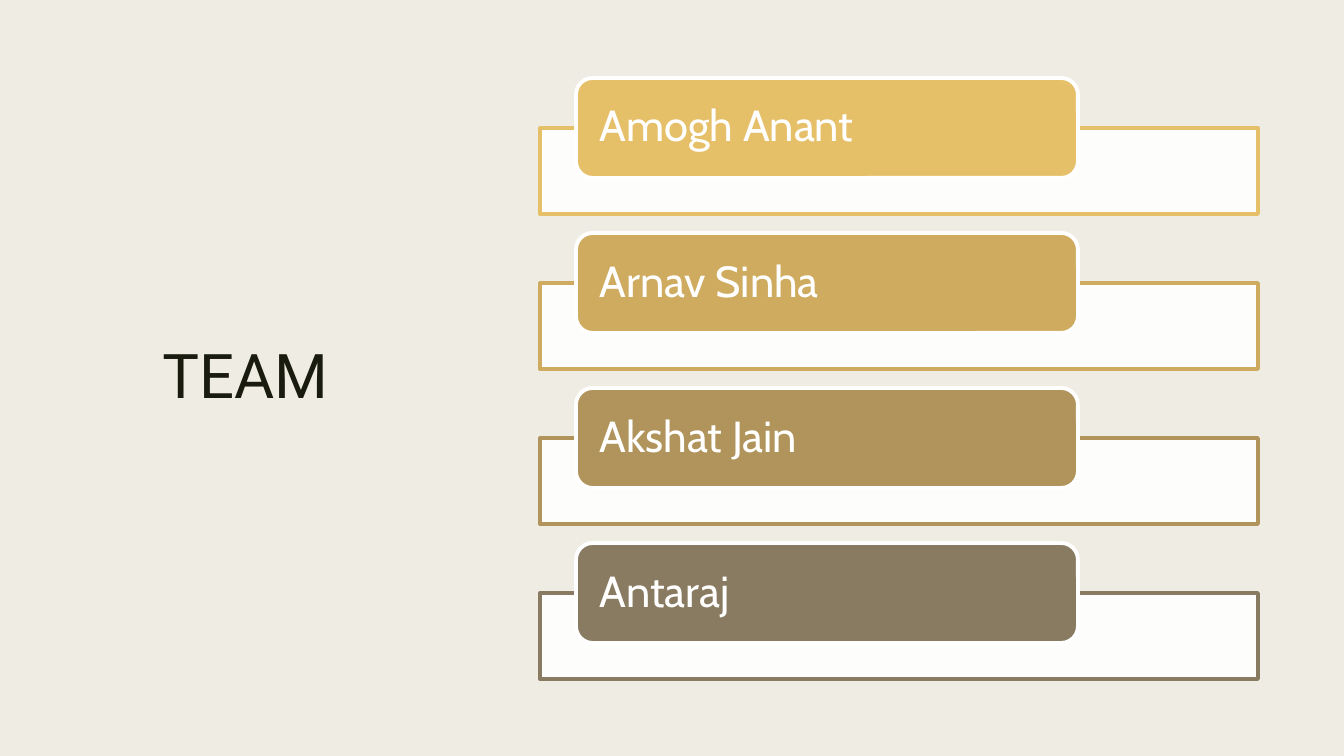
from dataclasses import dataclass

from lxml.etree import SubElement
from pptx import Presentation
from pptx.dml.color import RGBColor
from pptx.enum.shapes import MSO_SHAPE
from pptx.enum.text import MSO_ANCHOR, PP_ALIGN
from pptx.oxml.ns import qn
from pptx.shapes.autoshape import Shape
from pptx.slide import Slide
from pptx.util import Emu, Pt

COLORS = {
    "background": "EFEDE3",
    "title": "191B0E",
    "white": "FFFFFF",
    "gold": "E6C069",
    "ochre": "CEAB5F",
    "bronze": "B0945B",
    "taupe": "897B61",
}
EMU_PER_PX = 914400 / 100.8
SLIDE_W, SLIDE_H = 1344, 756
FIRST_PILL_TOP, MEMBER_PITCH = 78, 155
PANEL_DROP = 50
OUTLINE_PT = 2.75


@dataclass(frozen=True)
class Member:
    name: str
    color: str


TEAM = [
    Member("Amogh Anant", "gold"),
    Member("Arnav Sinha", "ochre"),
    Member("Akshat Jain", "bronze"),
    Member("Antaraj", "taupe"),
]


def px(n: int) -> Emu:
    return Emu(round(n * EMU_PER_PX))


def rgb(name: str) -> RGBColor:
    return RGBColor.from_string(COLORS[name])


def write_text(sp: Shape, text: str, *, font: str, size: float, color: str,
               align: PP_ALIGN, line_spacing: float, inset: int = 10) -> None:
    tf = sp.text_frame
    tf.word_wrap = True
    tf.vertical_anchor = MSO_ANCHOR.MIDDLE
    tf.margin_left = tf.margin_right = px(inset)
    tf.margin_top = tf.margin_bottom = 0
    p = tf.paragraphs[0]
    p.alignment = align
    p.line_spacing = line_spacing
    r = p.add_run()
    r.text = text
    r.font.name = font
    r.font.size = Pt(size)
    r.font.color.rgb = rgb(color)


def add_box(s: Slide, kind: MSO_SHAPE, x: int, y: int, w: int, h: int, *,
            fill: str, line: str, opacity: int = 100) -> Shape:
    sp = s.shapes.add_shape(kind, px(x), px(y), px(w), px(h))
    sp.shadow.inherit = False
    sp.fill.solid()
    sp.fill.fore_color.rgb = rgb(fill)
    if opacity < 100:
        color = sp.fill._xPr.find(qn("a:solidFill"))[0]
        SubElement(color, qn("a:alpha"), val=str(opacity * 1000))
    sp.line.color.rgb = rgb(line)
    sp.line.width = Pt(OUTLINE_PT)
    return sp


def add_member(s: Slide, member: Member, top: int) -> None:
    """Draw a member's outlined panel with the name pill over its top edge."""
    add_box(s, MSO_SHAPE.RECTANGLE, 540, top + PANEL_DROP, 718, 86,
            fill="white", line=member.color, opacity=90)
    pill = add_box(s, MSO_SHAPE.ROUNDED_RECTANGLE, 576, top, 502, 100,
                   fill=member.color, line="white")
    write_text(pill, member.name, font="Cabin", size=31, color="white",
               align=PP_ALIGN.LEFT, line_spacing=0.9, inset=19)


def main() -> None:
    prs = Presentation()
    prs.slide_width, prs.slide_height = px(SLIDE_W), px(SLIDE_H)
    s = prs.slides.add_slide(prs.slide_layouts[6])
    s.background.fill.solid()
    s.background.fill.fore_color.rgb = rgb("background")

    title = s.shapes.add_textbox(px(71), px(71), px(364), px(615))
    write_text(title, "TEAM ", font="Roboto", size=44, color="title",
               align=PP_ALIGN.CENTER, line_spacing=0.89)

    for i, member in enumerate(TEAM):
        add_member(s, member, FIRST_PILL_TOP + i * MEMBER_PITCH)

    prs.save("out.pptx")


if __name__ == "__main__":
    main()
